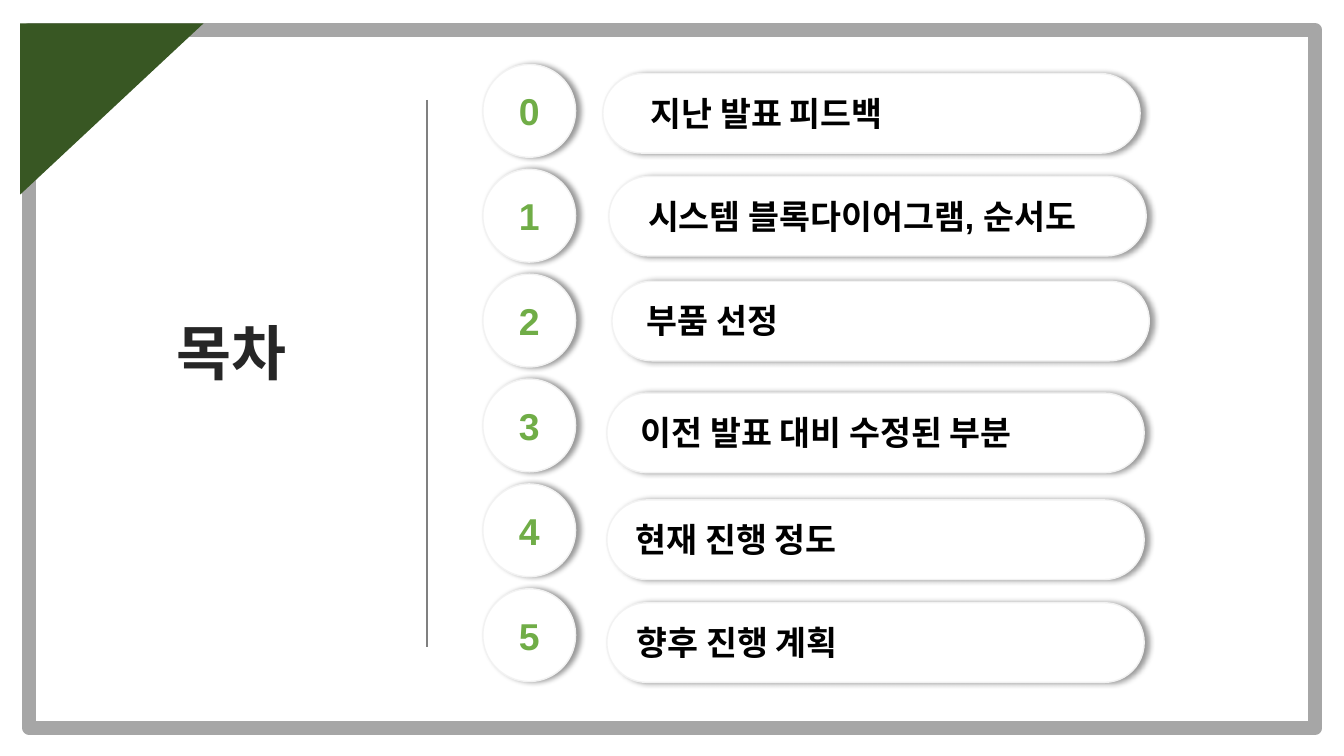
from lxml import etree
from pptx import Presentation
from pptx.dml.color import RGBColor
from pptx.enum.shapes import MSO_CONNECTOR, MSO_SHAPE
from pptx.enum.text import MSO_ANCHOR, MSO_AUTO_SIZE, PP_ALIGN
from pptx.oxml.ns import qn
from pptx.util import Inches, Pt

CIRCLE, PILL = MSO_SHAPE.OVAL, MSO_SHAPE.ROUNDED_RECTANGLE
RECTANGLE, TRIANGLE = MSO_SHAPE.RECTANGLE, MSO_SHAPE.ISOSCELES_TRIANGLE
STRAIGHT = MSO_CONNECTOR.STRAIGHT
TOP, MIDDLE = MSO_ANCHOR.TOP, MSO_ANCHOR.MIDDLE
LEFT, CENTER = PP_ALIGN.LEFT, PP_ALIGN.CENTER
FIT_SHAPE = MSO_AUTO_SIZE.SHAPE_TO_FIT_TEXT
TITLE_ONLY = 5

# Label, pill left, pill top, label left, in percent of the slide
AGENDA = [
    ("지난 발표 피드백", 44.85, 9.73, 47.7),
    ("시스템 블록다이어그램, 순서도", 45.3, 23.33, 47.48),
    ("부품 선정", 45.53, 37.2, 47.4),
    ("이전 발표 대비 수정된 부분", 45.15, 52, 46.95),
    ("현재 진행 정도", 45.15, 66.13, 46.58),
    ("향후 진행 계획", 45.15, 79.73, 46.65),
]
CIRCLE_LEFT, CIRCLE_TOP, CIRCLE_PITCH = 35.93, 8.53, 13.87


def color(hex_string):
    return RGBColor.from_string(hex_string)


class AgendaSlide:
    """Draws on one slide; every box is in percent of the slide's size."""

    font_name = "Arial"
    white, edge, gray = "FFFFFF", "F2F2F2", "A6A6A6"
    green, dark_green = "70AD47", "385723"
    black, title_color, divider = "000000", "262626", "808080"

    def __init__(self, presentation):
        self.width = presentation.slide_width
        self.height = presentation.slide_height
        self.slide = presentation.slides.add_slide(
            presentation.slide_layouts[TITLE_ONLY])

    def place(self, left, top, width, height):
        return (round(self.width * left / 100), round(self.height * top / 100),
                round(self.width * width / 100), round(self.height * height / 100))

    def set_text(self, shape, text, size, text_color, alignment=LEFT, anchor=TOP):
        text_frame = shape.text_frame
        text_frame.text = text
        text_frame.vertical_anchor = anchor
        paragraph = text_frame.paragraphs[0]
        paragraph.alignment = alignment
        font = paragraph.runs[0].font
        font.name, font.size, font.bold = self.font_name, Pt(size), True
        font.color.rgb = color(text_color)

    def title(self, text, *box):
        shape = self.slide.shapes.title
        shape.left, shape.top, shape.width, shape.height = self.place(*box)
        self.set_text(shape, text, 42.7, self.title_color)
        shape.text_frame.word_wrap = False
        shape.text_frame.auto_size = FIT_SHAPE

    def label(self, text, *box):
        shape = self.slide.shapes.add_textbox(*self.place(*box))
        self.set_text(shape, text, 24, self.black)
        shape.text_frame.word_wrap = True
        shape.text_frame.auto_size = FIT_SHAPE

    def shape(self, kind, *box, fill=None, line=None, line_width=1):
        shape = self.slide.shapes.add_shape(kind, *self.place(*box))
        shape.shadow.inherit = False
        if fill:
            shape.fill.solid()
            shape.fill.fore_color.rgb = color(fill)
        else:
            shape.fill.background()
        if line:
            shape.line.color.rgb = color(line)
            shape.line.width = Pt(line_width)
        else:
            shape.line.fill.background()
        return shape

    def raised(self, kind, *box):
        """White shape with a soft shadow to its right."""
        shape = self.shape(kind, *box, fill=self.white, line=self.edge)
        effects = shape._element.spPr.find(qn("a:effectLst"))
        shadow = etree.SubElement(
            effects, qn("a:outerShdw"), blurRad=str(Pt(4)), dist=str(Pt(3)),
            dir="0", algn="l", rotWithShape="0")
        tint = etree.SubElement(shadow, qn("a:srgbClr"), val=self.black)
        etree.SubElement(tint, qn("a:alpha"), val="40000")
        return shape

    def pill(self, left, top):
        self.raised(PILL, left, top, 39.98, 10.53).adjustments[0] = 0.5

    def number(self, value, left, top):
        circle = self.raised(CIRCLE, left, top, 6.9, 12.27)
        self.set_text(circle, str(value), 26.7, self.green, CENTER, MIDDLE)

    def vertical_line(self, left, top, bottom):
        x, start, _, end = self.place(left, top, 0, bottom)
        line = self.slide.shapes.add_connector(STRAIGHT, x, start, x, end)
        line.line.color.rgb = color(self.divider)
        line.line.width = Pt(1.5)
        etree.SubElement(line._element.spPr, qn("a:effectLst"))

    def frame(self, *box):
        self.shape(RECTANGLE, *box, line=self.gray, line_width=10)

    def corner(self, *box):
        triangle = self.shape(TRIANGLE, *box, fill=self.dark_green)
        triangle.adjustments[0] = 0
        triangle.rotation = 90


def main():
    presentation = Presentation()
    presentation.slide_width = Inches(13.33)
    presentation.slide_height = Inches(7.5)
    agenda = AgendaSlide(presentation)

    agenda.frame(2.18, 4, 95.7, 92.27)
    agenda.corner(1.95, 2.27, 12.75, 24.27)
    agenda.title("목차", 12.38, 41.07, 11.33, 10.93)
    agenda.vertical_line(31.8, 13.2, 85.6)
    for index, (text, pill_left, pill_top, label_left) in enumerate(AGENDA):
        agenda.number(index, CIRCLE_LEFT, CIRCLE_TOP + index * CIRCLE_PITCH)
        agenda.pill(pill_left, pill_top)
        agenda.label(text, label_left, pill_top + 1.87, 37.65, 6.67)

    presentation.save("out.pptx")


if __name__ == "__main__":
    main()
